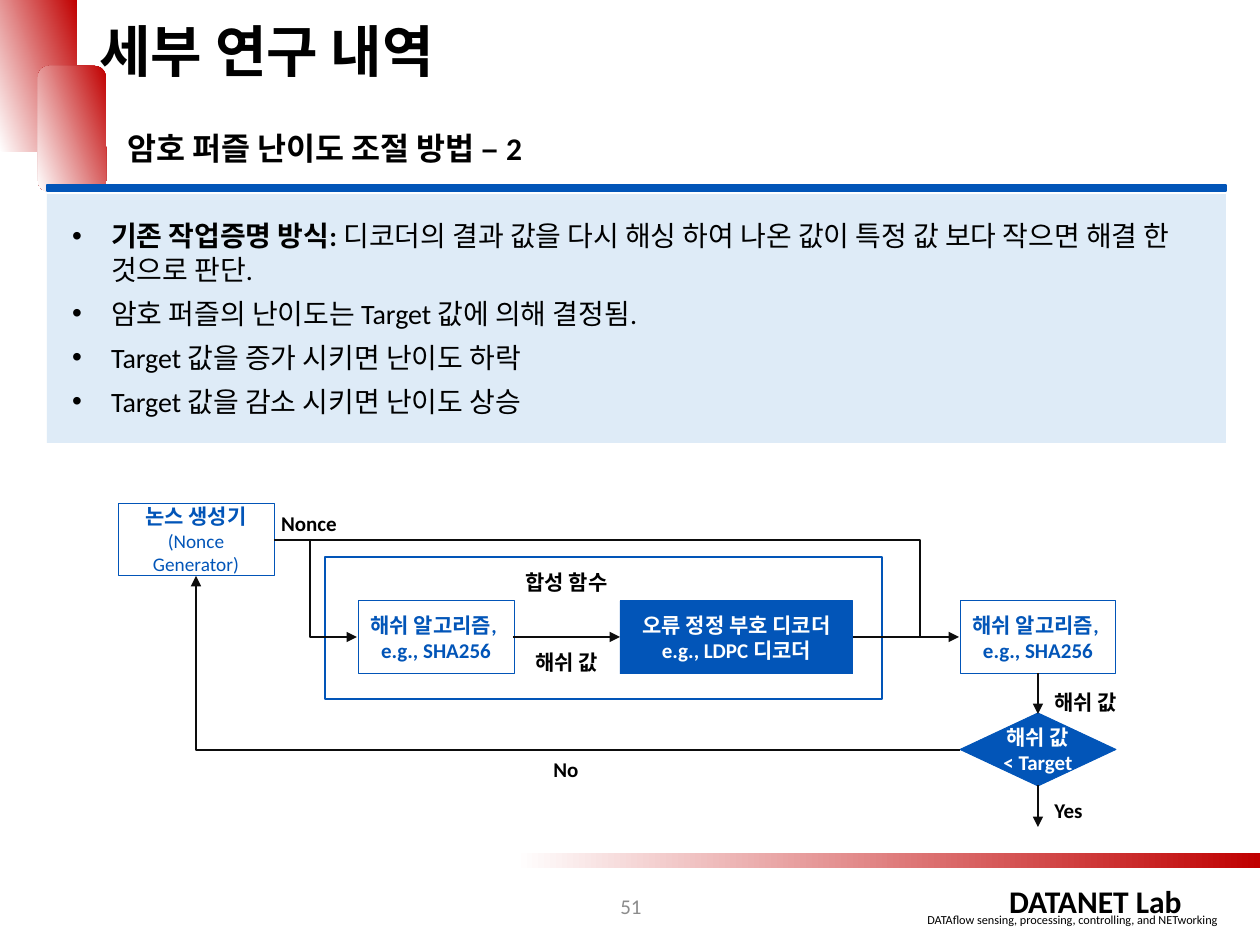
from lxml import etree
from pptx import Presentation
from pptx import util as u
from pptx.dml.color import RGBColor
from pptx.enum import shapes, text
from pptx.oxml.ns import qn

PX = 914400 // 126
BLACK = RGBColor(0, 0, 0)
WHITE = RGBColor(255, 255, 255)
RED = RGBColor(0xC0, 0, 0)
BLUE = RGBColor(0x02, 0x55, 0xB8)
PALE = RGBColor(0xDE, 0xEB, 0xF7)
GREY = RGBColor(0x8C, 0x8C, 0x8C)
INK = RGBColor(0x0D, 0x0D, 0x0D)
LEFT, CENTER = text.PP_ALIGN.LEFT, text.PP_ALIGN.CENTER
TOP, MIDDLE = text.MSO_ANCHOR.TOP, text.MSO_ANCHOR.MIDDLE
KIND = shapes.MSO_SHAPE

deck = Presentation()
deck.slide_width, deck.slide_height = u.Inches(10), u.Inches(7.5)
page = deck.slides.add_slide(deck.slide_layouts[6])


def write(box, paras, color=BLACK, align=CENTER, **frame_format):
    """Fill a box with paragraphs, each a list of (wording, size, bold) runs."""
    frame = box.text_frame
    for name, value in ({"word_wrap": True} | frame_format).items():
        setattr(frame, name, value)
    for number, runs in enumerate(paras):
        para = frame.add_paragraph() if number else frame.paragraphs[0]
        para.alignment = align
        for wording, size, bold in runs:
            span = para.add_run()
            span.text = wording
            span.font.color.rgb = color
            look = {"name": "Calibri", "size": u.Pt(size), "bold": bold}
            for name, value in look.items():
                setattr(span.font, name, value)


def draw_line(shape, arrow=True):
    """Give a connector or open outline its ink, and a head at its end."""
    shape.line.color.rgb = INK
    shape.line.width = u.Pt(1.5)
    if arrow:
        etree.SubElement(shape.line._get_or_add_ln(), qn("a:tailEnd"), type="triangle")
    etree.SubElement(shape._element.spPr, qn("a:effectLst"))


# Page decoration: angles run counter-clockwise
for kind, place, angle, colors in [
    (KIND.RECTANGLE, (0, 0, 77, 152), 200, (RED, WHITE)),
    (KIND.FLOWCHART_ALTERNATE_PROCESS, (38, 66, 68, 126), 200, (RED, WHITE)),
    (KIND.RECTANGLE, (515, 853, 745, 15), 0, (WHITE, RED)),
]:
    block = page.shapes.add_shape(kind, *(v * PX for v in place))
    block.shadow.inherit = False
    block.line.fill.background()
    block.fill.gradient()
    block.fill.gradient_angle = angle
    for stop, color, position in zip(block.fill.gradient_stops, colors, (0, 1)):
        stop.color.rgb = color
        stop.position = position

# Panel, rule and flow chart boxes
hash_paras = [[("해쉬 알고리즘, ", 12, True)], [("e.g., SHA256", 12, True)]]
nonce_paras = [[("논스 생성기", 12, True)], [("(Nonce Generator)", 11, False)]]
decoder_paras = [[("오류 정정 부호 디코더", 12, True)], [("e.g., LDPC 디코더", 12, True)]]
target_paras = [[("해쉬 값", 12, True)], [("< Target", 12, True)]]
panel_paras = [
    [("기존 작업증명 방식: ", 16, True),
     ("디코더의 결과 값을 다시 해싱 하여 나온 값이 특정 값 보다 작으면 해결 한 것으로 판단.", 16, False)],
    [("암호 퍼즐의 난이도는 Target 값에 의해 결정됨.", 16, False)],
    [("Target 값을 증가 시키면 난이도 하락", 16, False)],
    [("Target 값을 감소 시키면 난이도 상승", 16, False)],
]
panel_format = {"align": LEFT, "margin_left": u.Inches(0.2), "margin_right": u.Inches(0.39)}
tight = {"word_wrap": False, "margin_left": 0, "margin_right": 0,
         "margin_top": 0, "margin_bottom": 0}
boxes = {}
for key, kind, place, fill, width, color, paras, extra in [
    ("panel", KIND.RECTANGLE, (47, 194, 1179, 249), PALE, 0, BLACK, panel_paras, panel_format),
    ("rule", KIND.RECTANGLE, (47, 185, 1179, 6), BLUE, 1, WHITE, [], {}),
    ("composite", KIND.RECTANGLE, (325, 557, 557, 142), None, 1, BLACK, [], {}),
    ("nonce", KIND.RECTANGLE, (118, 503, 156, 73), None, 0.5, BLUE, nonce_paras, {}),
    ("first hash", KIND.RECTANGLE, (358, 601, 156, 73), WHITE, 0.5, BLUE, hash_paras, {}),
    ("decoder", KIND.RECTANGLE, (620, 601, 233, 73), BLUE, 0.5, WHITE, decoder_paras, {}),
    ("second hash", KIND.RECTANGLE, (960, 601, 156, 73), None, 0.5, BLUE, hash_paras, {}),
    ("target", KIND.DIAMOND, (960, 713, 156, 73), BLUE, 0.5, WHITE, target_paras, tight),
]:
    box = boxes[key] = page.shapes.add_shape(kind, *(v * PX for v in place))
    box.shadow.inherit = False
    if fill is None:
        box.fill.background()
    else:
        box.fill.solid()
        box.fill.fore_color.rgb = fill
    if width:
        box.line.color.rgb = BLUE
        box.line.width = u.Pt(width)
    else:
        box.line.fill.background()
    write(box, paras, color, **({"vertical_anchor": MIDDLE} | extra))

for para in boxes["panel"].text_frame.paragraphs:
    para.space_before = u.Pt(6)
    layout = para._p.get_or_add_pPr()
    layout.set("marL", str(39 * PX))
    layout.set("indent", str(-39 * PX))
    etree.SubElement(layout, qn("a:buFont"), typeface="Arial")
    etree.SubElement(layout, qn("a:buChar"), char="•")

# Straight arrows, then the elbow that leads back to the nonce generator
STRAIGHT, ELBOW = shapes.MSO_CONNECTOR.STRAIGHT, shapes.MSO_CONNECTOR.ELBOW
for kind, ends in [
    (STRAIGHT, (513, 637, 620, 637)),
    (STRAIGHT, (853, 637, 959, 637)),
    (STRAIGHT, (1038, 673, 1038, 714)),
    (STRAIGHT, (1038, 785, 1038, 827)),
    (ELBOW, (960, 750, 196, 576)),
]:
    link = page.shapes.add_connector(kind, *(v * PX for v in ends))
    if kind == ELBOW:
        link._element.spPr.find(qn("a:prstGeom")).set("prst", "bentConnector2")
    draw_line(link)

# Nonce branches
for arrow, start, *corners in [
    (True, (310, 540), (310, 637), (357, 637)),
    (False, (274, 540), (920, 540), (920, 637)),
]:
    outline = page.shapes.build_freeform(*start, scale=PX)
    outline.add_line_segments(corners, close=False)
    branch = outline.convert_to_shape()
    branch.fill.background()
    draw_line(branch, arrow)

# Headings, labels and footer
for wording, place, size, bold, color, align, anchor, wrap in [
    ("세부 연구 내역", (87, 10, 698, 81), 32, True, BLACK, LEFT, TOP, True),
    ("암호 퍼즐 난이도 조절 방법 – 2", (115, 123, 459, 50), 18, True, BLACK, LEFT, TOP, False),
    ("Nonce", (268, 504, 82, 38), 12, True, BLACK, CENTER, TOP, False),
    ("합성 함수", (509, 563, 115, 38), 12, True, BLACK, CENTER, TOP, False),
    ("해쉬 값", (519, 643, 95, 38), 12, True, BLACK, CENTER, TOP, False),
    ("해쉬 값", (1042, 683, 95, 38), 12, True, BLACK, LEFT, TOP, False),
    ("No", (541, 750, 50, 38), 12, True, BLACK, CENTER, TOP, False),
    ("Yes", (1042, 791, 55, 38), 12, True, BLACK, LEFT, TOP, False),
    ("51", (489, 881, 284, 50), 12, False, GREY, CENTER, MIDDLE, True),
    ("DATANET Lab", (931, 876, 329, 50), 18, True, BLACK, CENTER, TOP, True),
    ("DATAflow sensing, processing, controlling, and NETworking",
     (915, 906, 345, 28), 7, False, BLACK, LEFT, TOP, False),
]:
    label = page.shapes.add_textbox(*(v * PX for v in place))
    write(label, [[(wording, size, bold)]], color, align,
          vertical_anchor=anchor, word_wrap=wrap)

deck.save("out.pptx")
